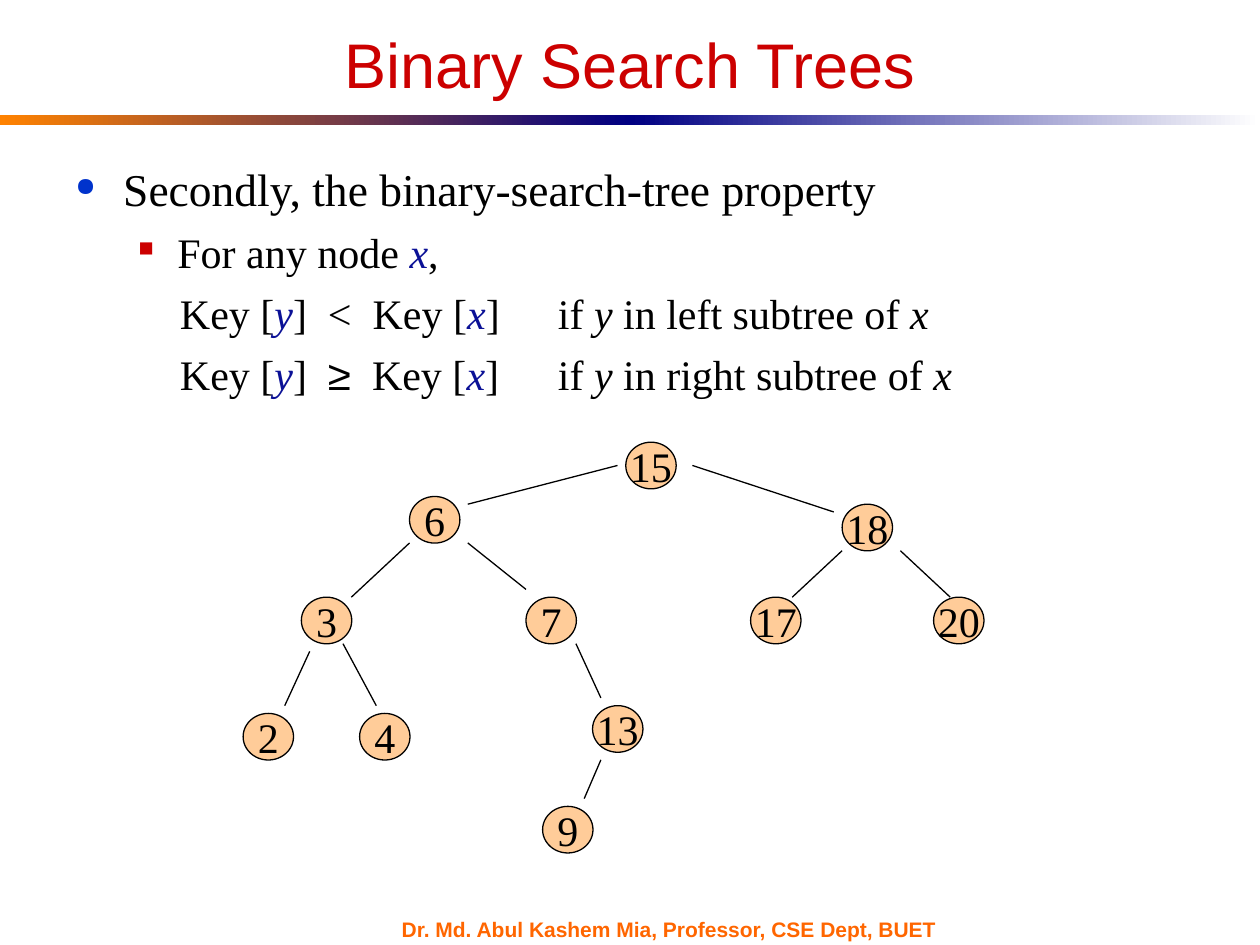
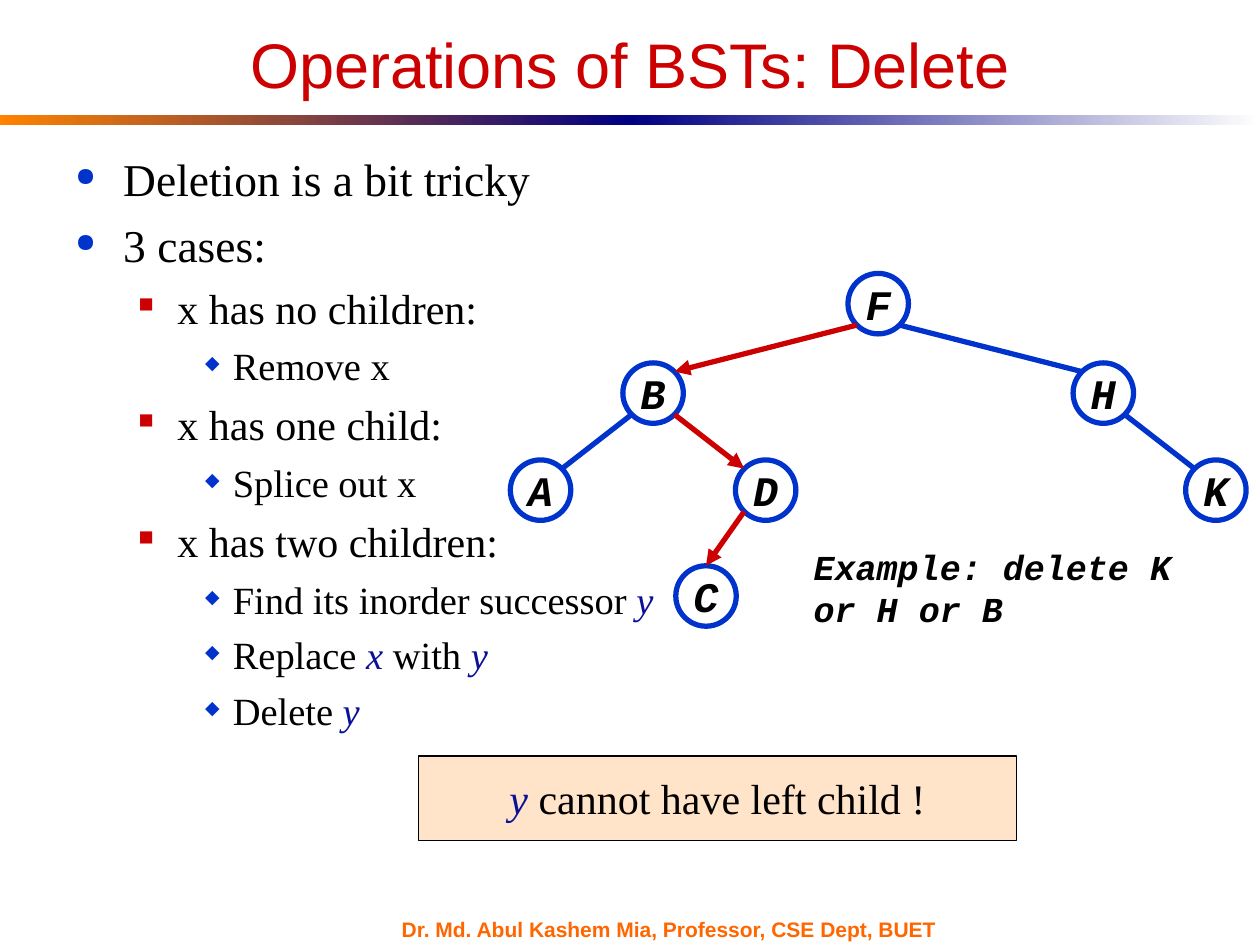
from collections import namedtuple
from dataclasses import dataclass

from lxml import etree
from pptx import Presentation
from pptx import util as u
from pptx.dml.color import RGBColor
from pptx.enum import shapes, text
from pptx.oxml import ns

FOOTER = "Dr. Md. Abul Kashem Mia, Professor, CSE Dept, BUET"

PROPERTY_TITLE = "Binary Search Trees"
PROPERTY_POINTS = [
    ("topic", "Secondly, the binary-search-tree property"),
    ("case", "For any node *x*,"),
    ("rule", "Key [*y*]  <  Key [*x*] \tif _y_ in left subtree of _x_"),
    ("rule", "Key [*y*]  ~≥~  Key [*x*] \tif _y_ in right subtree of _x_"),
]
NUMBER_NODES = {
    "15": (46, 0), "18": (72, 8), "3": (7, 20), "2": (0, 35),
    "6": (20, 7), "4": (14, 35), "7": (34, 20), "13": (42, 34),
    "9": (36, 47), "17": (61, 20), "20": (83, 20),
}
NUMBER_BRANCHES = [
    ((45, 3), (27, 8)), ((20, 13), (13, 20)), ((8, 27), (5, 34)),
    ((12, 26), (16, 34)), ((27, 13), (34, 19)), ((40, 26), (43, 33)),
    ((43, 41), (41, 46)), ((54, 3), (71, 9)), ((72, 14), (66, 20)),
    ((79, 14), (85, 20)),
]

DELETE_TITLE = "Operations of BSTs: Delete"
DELETE_POINTS = [
    ("topic", "Deletion is a bit tricky"),
    ("topic", "3 cases:"),
    ("case", "x has no children:"),
    ("step", "Remove x"),
    ("case", "x has one child:"),
    ("step", "Splice out x"),
    ("case", "x has two children:"),
    ("step", "Find its inorder successor *y*"),
    ("step", "Replace *x* with *y*"),
    ("step", "Delete *y*"),
]
LETTER_NODES = {
    "F": (3, 0), "B": (1, 1), "H": (5, 1), "K": (6, 2),
    "D": (2, 2), "A": (0, 2), "C": (1.47, 3),
}
PLAIN_BRANCHES = ["BA", "FH", "HK"]
SEARCH_BRANCHES = ["FB", "BD", "DC"]
EXAMPLE = "Example: delete K\vor H or B"
REMARK = "*y* cannot have left child !"


@dataclass(frozen=True)
class Theme:
    red: str = "CC0000"
    blue: str = "0033CC"
    variable: str = "0B1196"
    ink: str = "000000"
    paper: str = "FFFFFF"
    peach: str = "FFCC99"
    footer: str = "FF6600"
    band: tuple = ("FF8200", "000082", "FFFFFF")
    sans: str = "Arial"
    serif: str = "Times New Roman"
    mono: str = "Courier New"
    title_size: int = 36
    node_size: int = 24
    example_size: int = 20
    footer_size: int = 12
    thin: float = 0.75
    thick: float = 3


THEME = Theme()
Level = namedtuple("Level", "depth size margin hang before bullet color share")
LEVELS = {
    "topic": Level(0, 26, 0.38, 0.38, 6.5, "●", THEME.blue, 57),
    "case": Level(1, 24, 0.81, 0.31, 6, "■", THEME.red, 50),
    "rule": Level(1, 24, 0.83, 0, 6, None, None, None),
    "step": Level(2, 22, 1.25, 0.22, 5.5, "◆", THEME.blue, 49),
}
MARKS = {"*": "variable", "_": "italic", "~": "symbol"}


def inches(*lengths):
    return [u.Inches(length) for length in lengths]


def add_xml(parent, tag, **attributes):
    return etree.SubElement(parent, ns.qn(tag), {k: str(v) for k, v in attributes.items()})


def format_run(run, size, face, color=THEME.ink, bold=False, italic=False):
    font = run.font
    font.size, font.name = u.Pt(size), face
    font.bold, font.italic = bold, italic
    font.color.rgb = RGBColor.from_string(color)


def format_frame(frame, size, face, align=None, **style):
    frame.vertical_anchor = text.MSO_ANCHOR.MIDDLE
    for paragraph in frame.paragraphs:
        paragraph.alignment = align
        for run in paragraph.runs:
            format_run(run, size, face, **style)


def write_marked(paragraph, marked, size):
    parts = [(marked, "plain")]
    for mark, style in MARKS.items():
        parts = [(piece, style if i % 2 else kind)
                 for words, kind in parts
                 for i, piece in enumerate(words.split(mark)) if piece]
    for words, kind in parts:
        run = paragraph.add_run()
        run.text = words
        format_run(run, size, THEME.sans if kind == "symbol" else THEME.serif,
                   color=THEME.variable if kind == "variable" else THEME.ink,
                   italic=kind in ("variable", "italic"))


def add_points(slide, points, box):
    frame = slide.shapes.add_textbox(*inches(*box)).text_frame
    frame.word_wrap = True
    for i, (name, marked) in enumerate(points):
        level = LEVELS[name]
        paragraph = frame.add_paragraph() if i else frame.paragraphs[0]
        paragraph.level = level.depth
        paragraph.space_before = u.Pt(level.before)
        write_marked(paragraph, marked, level.size)
        props = paragraph._p.get_or_add_pPr()
        props.set("marL", str(u.Inches(level.margin)))
        props.set("indent", str(-u.Inches(level.hang)))
        if level.bullet:
            add_xml(add_xml(props, "a:buClr"), "a:srgbClr", val=level.color)
            add_xml(props, "a:buSzPct", val=level.share * 1000)
            add_xml(props, "a:buChar", char=level.bullet)
        else:
            add_xml(props, "a:buNone")


def add_figure(slide, preset, box, fill, line, width):
    figure = slide.shapes.add_shape(preset, *inches(*box))
    figure.shadow.inherit = False
    figure.fill.solid()
    figure.fill.fore_color.rgb = RGBColor.from_string(fill)
    figure.line.color.rgb = RGBColor.from_string(line)
    figure.line.width = u.Pt(width)
    figure.text_frame.word_wrap = False
    return figure


def add_node(slide, label, box, fill, line, width, **style):
    node = add_figure(slide, shapes.MSO_SHAPE.OVAL, box, fill, line, width)
    node.text_frame.text = label
    format_frame(node.text_frame, THEME.node_size, align=text.PP_ALIGN.CENTER, **style)


def add_branch(slide, start, end, color, width, arrow=False):
    branch = slide.shapes.add_connector(shapes.MSO_CONNECTOR.STRAIGHT, *inches(*start, *end))
    branch.line.color.rgb = RGBColor.from_string(color)
    branch.line.width = u.Pt(width)
    if arrow:
        add_xml(branch.line._get_or_add_ln(), "a:tailEnd", type="triangle")
    add_xml(branch._element.spPr, "a:effectLst")


def start_slide(deck, heading):
    slide = deck.slides.add_slide(deck.slide_layouts[5])
    half = 5
    for i, colors in enumerate(zip(THEME.band, THEME.band[1:])):
        band = slide.shapes.add_shape(shapes.MSO_SHAPE.RECTANGLE,
                                      *inches(i * half, 0.91, half, 0.08))
        band.shadow.inherit = False
        band.line.fill.background()
        band.fill.gradient()
        band.fill.gradient_angle = 0
        for stop, color in zip(band.fill.gradient_stops, colors):
            stop.color.rgb = RGBColor.from_string(color)

    footer = slide.shapes.add_textbox(*inches(3.09, 7.28, 4.67, 0.18)).text_frame
    footer.word_wrap = False
    footer.text = FOOTER
    format_frame(footer, THEME.footer_size, THEME.sans, color=THEME.footer, bold=True)

    title = slide.shapes.title
    title.left, title.top, title.width, title.height = inches(0.5, 0.25, 9, 0.51)
    title.text_frame.text = heading
    title.text_frame.auto_size = text.MSO_AUTO_SIZE.NONE
    format_frame(title.text_frame, THEME.title_size, THEME.sans,
                 text.PP_ALIGN.CENTER, color=THEME.red)
    return slide


def build_property(deck):
    slide = start_slide(deck, PROPERTY_TITLE)
    add_points(slide, PROPERTY_POINTS, (0.5, 1.23, 8.5, 2.13))

    def place(cell):
        column, row = cell
        return 1.93 + column * 5.48 / 83, 3.51 + row * 2.89 / 47

    for label, cell in NUMBER_NODES.items():
        add_node(slide, label, (*place(cell), 0.4, 0.37),
                 THEME.peach, THEME.ink, THEME.thin, face=THEME.serif)
    for start, end in NUMBER_BRANCHES:
        add_branch(slide, place(start), place(end), THEME.ink, THEME.thin)


def build_delete(deck):
    slide = start_slide(deck, DELETE_TITLE)
    add_points(slide, DELETE_POINTS, (0.5, 1.15, 9, 5.75))
    size, rows = 0.48, (2.17, 2.88, 3.65, 4.49)
    corner = size / 2 * 0.71
    centers = {}
    for label, (column, row) in LETTER_NODES.items():
        left, top = 4.05 + column * 5.36 / 6, rows[row]
        centers[label] = left + size / 2, top + size / 2
        add_node(slide, label, (left, top, size, size), THEME.paper, THEME.blue,
                 THEME.thick, face=THEME.mono, bold=True, italic=True)

    def join(parent, child, color, arrow):
        (px, py), (cx, cy) = centers[parent], centers[child]
        shift = corner if cx > px else -corner
        end = (cx, cy - size / 2) if abs(cx - px) < size else (cx - shift, cy - corner)
        add_branch(slide, (px + shift, py + corner), end, color, THEME.thick, arrow)

    for parent, child in PLAIN_BRANCHES:
        join(parent, child, THEME.blue, False)
    for parent, child in SEARCH_BRANCHES:
        join(parent, child, THEME.red, True)

    example = slide.shapes.add_textbox(*inches(6.36, 4.28, 3.04, 0.77)).text_frame
    example.word_wrap = False
    example.text = EXAMPLE
    format_frame(example, THEME.example_size, THEME.mono, bold=True, italic=True)

    remark = add_figure(slide, shapes.MSO_SHAPE.RECTANGLE, (3.32, 6, 4.75, 0.67),
                        THEME.peach, THEME.ink, THEME.thin)
    tint = remark._element.spPr.find(".//" + ns.qn("a:srgbClr"))
    add_xml(tint, "a:alpha", val=52000)
    remark.text_frame.vertical_anchor = text.MSO_ANCHOR.MIDDLE
    line = remark.text_frame.paragraphs[0]
    line.alignment = text.PP_ALIGN.CENTER
    write_marked(line, REMARK, THEME.node_size)


def main():
    deck = Presentation()
    deck.slide_width, deck.slide_height = inches(10, 7.5)
    build_property(deck)
    build_delete(deck)
    deck.save("out.pptx")


if __name__ == "__main__":
    main()
